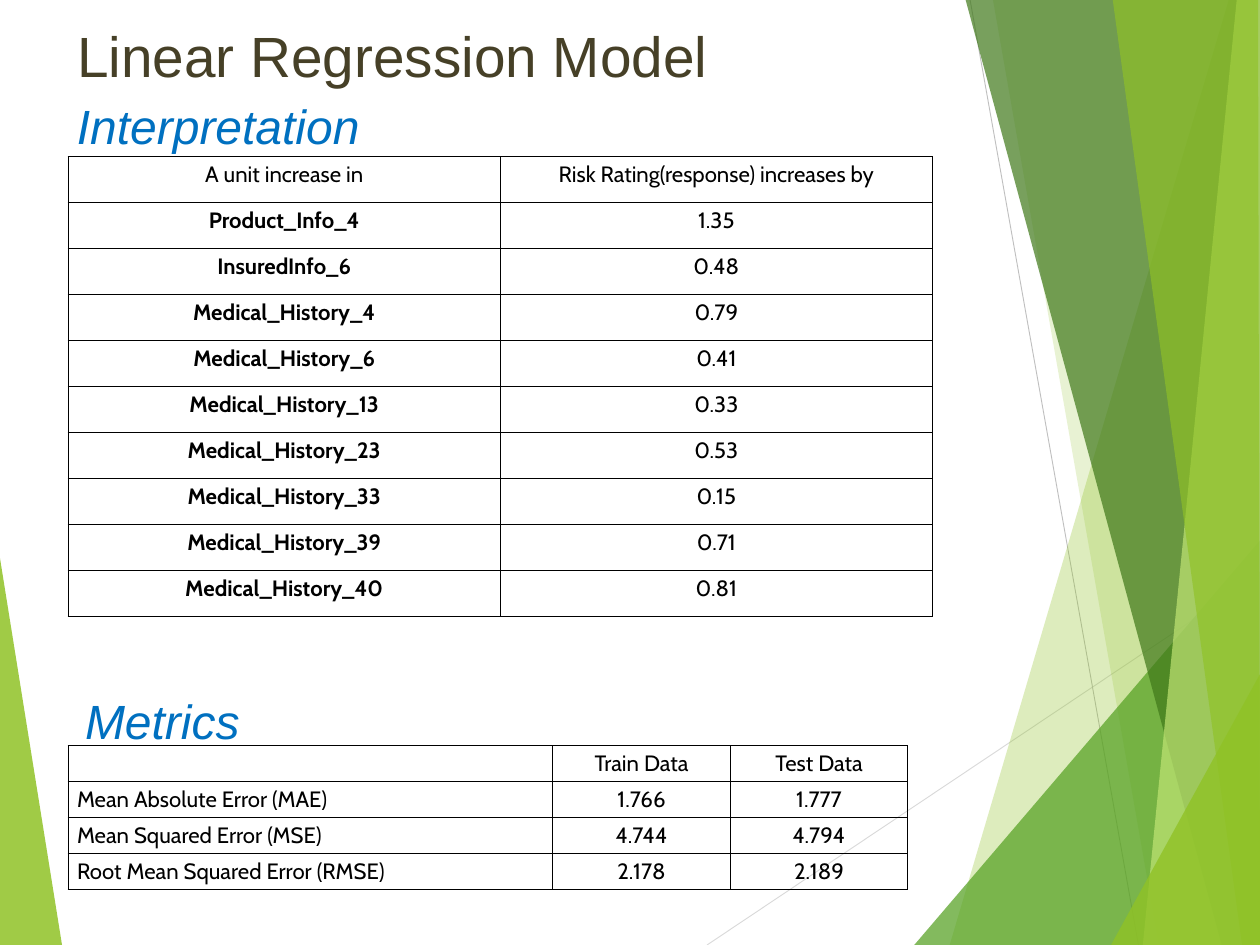
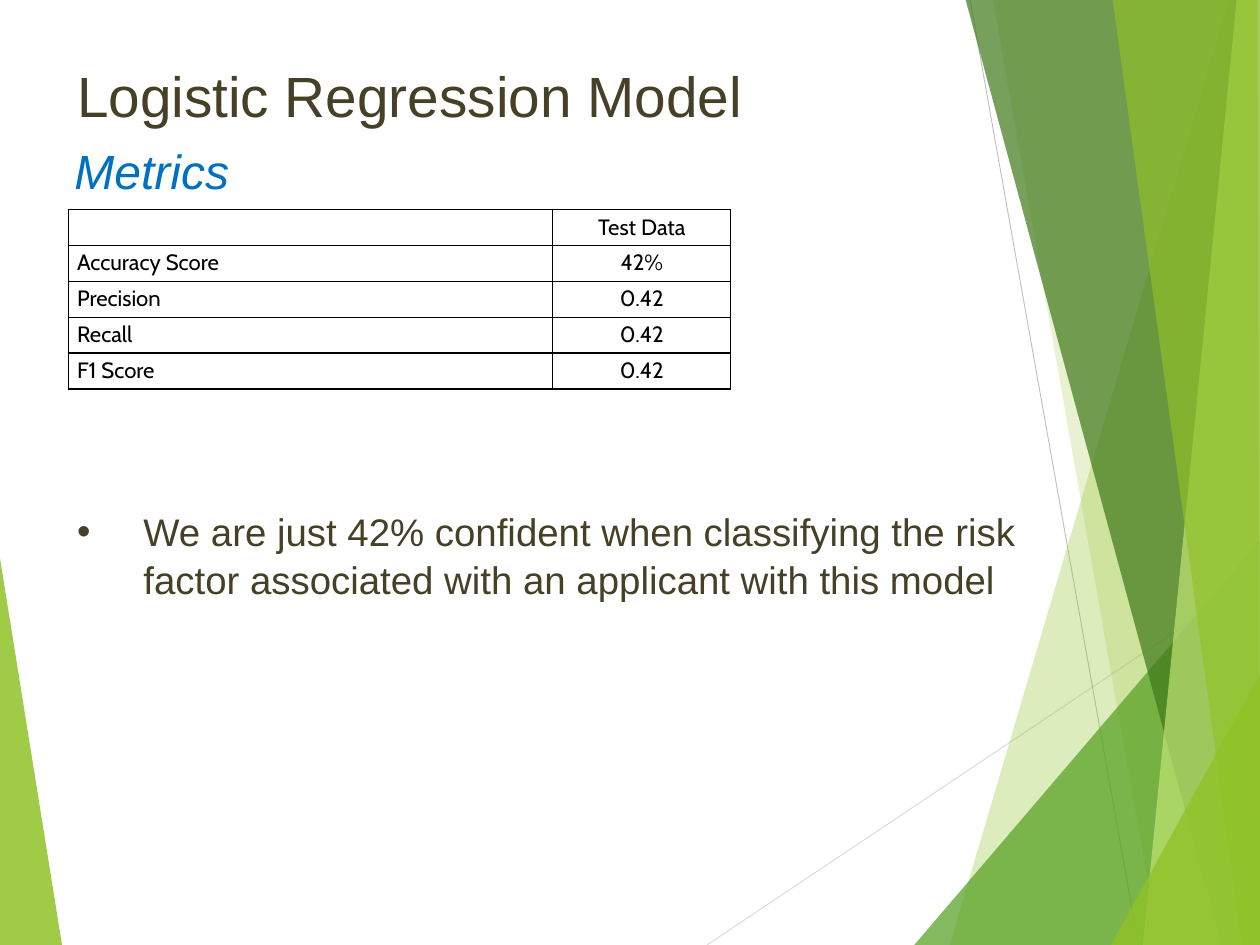
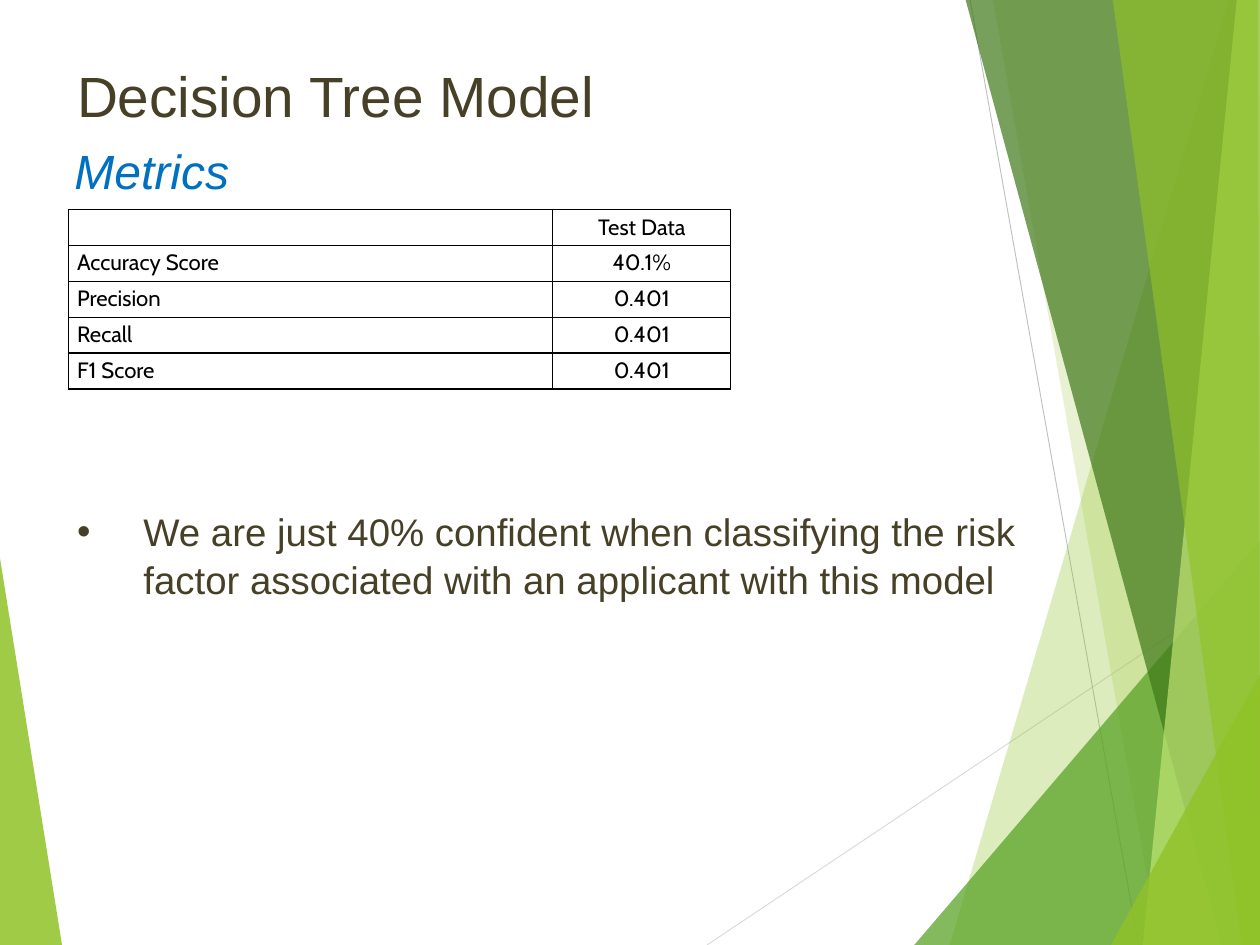
from dataclasses import dataclass

from lxml import etree
from pptx import Presentation
from pptx.dml.color import RGBColor
from pptx.enum.shapes import MSO_CONNECTOR
from pptx.enum.text import MSO_ANCHOR, MSO_AUTO_SIZE, PP_ALIGN
from pptx.oxml.ns import qn
from pptx.util import Pt

LEFT, CENTER = PP_ALIGN.LEFT, PP_ALIGN.CENTER
TOP, MIDDLE = MSO_ANCHOR.TOP, MSO_ANCHOR.MIDDLE
NO_FIT = MSO_AUTO_SIZE.NONE
STRAIGHT = MSO_CONNECTOR.STRAIGHT
W, H = 1024, 768
TITLE_ONLY, TITLE_AND_CONTENT = 5, 1


@dataclass(frozen=True)
class Theme:
    lime: str = "90C226"
    green: str = "54A021"
    forest: str = "3F7819"
    pale: str = "C0E474"
    brown: str = "464027"
    blue: str = "0070C0"
    black: str = "000000"
    heading_font: str = "Arial"
    table_font: str = "Cabin"
    title_size: float = 46.1
    subhead_size: float = 39
    body_size: float = 31.2
    table_size: float = 18


T = Theme()
TITLE = {"name": T.heading_font, "size": Pt(T.title_size), "bold": False, "italic": False}
SUBHEAD = {"name": T.heading_font, "size": Pt(T.subhead_size), "bold": False, "italic": True}
BODY = {"name": T.heading_font, "size": Pt(T.body_size), "bold": False, "italic": False}
CELL = {"name": T.table_font, "size": Pt(T.table_size), "bold": False, "italic": False}
BOLD_CELL = CELL | {"bold": True}

# Background: colour, opacity in percent, corners in points
BANDS = [
    (T.lime, 85, [(-0.7, 449.3), (50.4, H), (-0.7, H)]),
    (T.lime, 30, [(998.6, 0), (771.8, H), (W, H), (W, 0)]),
    (T.lime, 20, [(807, 0), (941.8, H), (W, H), (W, 0)]),
    (T.green, 72, [(743, H), (W, 439.2), (W, H)]),
    (T.forest, 70, [(784.8, 0), (992.9, H), (W, H), (W, 0)]),
    (T.pale, 70, [(1005.1, 0), (928.8, H), (W, H), (W, 0)]),
    (T.lime, 65, [(904.3, 0), (1009.4, H), (W, H), (1022.4, 0)]),
    (T.lime, 80, [(902.9, H), (W, 547.9), (W, H)]),
]
RULES = [("D9D9D9", (574.6, H, W, 467.3)), ("BFBFBF", (788.4, 0, 925.2, H))]

EFFECTS = [
    ("Product_Info_4", "1.35"),
    ("InsuredInfo_6", "0.48"),
    ("Medical_History_4", "0.79"),
    ("Medical_History_6", "0.41"),
    ("Medical_History_13", "0.33"),
    ("Medical_History_23", "0.53"),
    ("Medical_History_33", "0.15"),
    ("Medical_History_39", "0.71"),
    ("Medical_History_40", "0.81"),
]
ERRORS = [
    ("", "Train Data", "Test Data"),
    ("Mean Absolute Error (MAE)", "1.766", "1.777"),
    ("Mean Squared Error (MSE)", "4.744", "4.794"),
    ("Root Mean Squared Error (RMSE)", "2.178", "2.189"),
]
CLASSIFIERS = [
    ("Logistic Regression Model", "42%", "0.42", "42%"),
    ("Decision Tree Model", "40.1%", "0.401", "40%"),
]
TABLE_LEFT = 55.4


def write(p, text, fmt, color, align=LEFT):
    p.alignment = align
    r = p.add_run()
    r.text = text
    for name, value in fmt.items():
        setattr(r.font, name, value)
    r.font.color.rgb = RGBColor.from_string(color)


def add_grid(s, top, widths, row_height, rows, centred_labels=False):
    """Add an unfilled table with black rules; centred labels are bold below the header."""
    frame = s.shapes.add_table(len(rows), len(widths), Pt(TABLE_LEFT), Pt(top),
                               Pt(sum(widths)), Pt(row_height * len(rows)))
    table = frame.table
    table.first_row = table.horz_banding = False
    for column, width in zip(table.columns, widths):
        column.width = Pt(width)
    for i, values in enumerate(rows):
        table.rows[i].height = Pt(row_height)
        for j, value in enumerate(values):
            cell = table.cell(i, j)
            cell.fill.background()
            is_label = j == 0
            fmt = BOLD_CELL if centred_labels and is_label and i else CELL
            align = LEFT if is_label and not centred_labels else CENTER
            if value:
                write(cell.text_frame.paragraphs[0], value, fmt, T.black, align)
            tc_pr = cell._tc.get_or_add_tcPr()
            for k, side in enumerate(("lnL", "lnR", "lnT", "lnB")):
                ln = etree.Element(qn(f"a:{side}"), w=str(Pt(1)))
                fill = etree.SubElement(ln, qn("a:solidFill"))
                etree.SubElement(fill, qn("a:srgbClr"), val=T.black)
                tc_pr.insert(k, ln)


prs = Presentation()
prs.slide_width, prs.slide_height = Pt(W), Pt(H)

slides = [{
    "layout": TITLE_ONLY,
    "title": ("Linear Regression Model", 12),
    "subheads": [("Interpretation", 55.4, 69.3), ("Metrics", 62, 552.4)],
    "grids": [
        (606.2, (394, 144, 144.5), 29.25, ERRORS),
        (127.5, (351.2, 351.2), 37.4,
         [("A unit increase in", "Risk Rating(response) increases by")] + EFFECTS, True),
    ],
}]
for name, accuracy, score, confidence in CLASSIFIERS:
    scores = [(label, score) for label in ("Precision", "Recall", "F1 Score")]
    slides.append({
        "layout": TITLE_AND_CONTENT,
        "title": (name, 44.5),
        "subheads": [("Metrics", 53.4, 106)],
        "grids": [(170, (394, 144.5), 29.25,
                   [("", "Test Data"), ("Accuracy Score", accuracy)] + scores)],
        "body": f"We are just {confidence} confident when classifying the risk factor "
                "associated with an applicant with this model",
    })

for content in slides:
    s = prs.slides.add_slide(prs.slide_layouts[content["layout"]])

    text, top = content["title"]
    title = s.shapes.title
    title.left, title.top, title.width, title.height = Pt(55.4), Pt(top), Pt(594), Pt(65.5)
    tf = title.text_frame
    tf.auto_size, tf.vertical_anchor = NO_FIT, MIDDLE
    write(tf.paragraphs[0], text, TITLE, T.brown)

    for text, left, top in content["subheads"]:
        tf = s.shapes.add_textbox(Pt(left), Pt(top), Pt(594), Pt(65.5)).text_frame
        tf.word_wrap, tf.vertical_anchor = True, MIDDLE
        write(tf.paragraphs[0], text, SUBHEAD, T.blue)

    for grid in content["grids"]:
        add_grid(s, *grid)

    if "body" in content:
        body = s.placeholders[1]
        body.left, body.top, body.width, body.height = Pt(55.4), Pt(408.2), Pt(822.2), Pt(329.8)
        tf = body.text_frame
        tf.auto_size, tf.vertical_anchor = NO_FIT, TOP
        p = tf.paragraphs[0]
        p.space_before, p.line_spacing = Pt(2), 1.04
        write(p, content["body"], BODY, T.brown)
        p_pr = p._p.get_or_add_pPr()
        p_pr.set("marL", str(Pt(54)))
        p_pr.set("indent", str(-Pt(54)))

# Shapes can only be drawn on a slide, so the background is drawn there and moved to the master
s = prs.slides[0]
background = []
for color, ends in RULES:
    rule = s.shapes.add_connector(STRAIGHT, *(Pt(v) for v in ends))
    rule.line.color.rgb = RGBColor.from_string(color)
    rule.line.width = Pt(0.75)
    etree.SubElement(rule.element.spPr, qn("a:effectLst"))
    background.append(rule)
for color, opacity, corners in BANDS:
    start, *others = [(Pt(x), Pt(y)) for x, y in corners]
    builder = s.shapes.build_freeform(*start)
    builder.add_line_segments(others, close=True)
    band = builder.convert_to_shape()
    band.shadow.inherit = False
    band.line.fill.background()
    band.fill.solid()
    band.fill.fore_color.rgb = RGBColor.from_string(color)
    rgb = band.element.spPr.find(f"{qn('a:solidFill')}/{qn('a:srgbClr')}")
    etree.SubElement(rgb, qn("a:alpha"), val=str(opacity * 1000))
    background.append(band)
for i, shape in enumerate(background):
    shape.element.xpath(".//p:cNvPr")[0].set("id", str(101 + i))
    prs.slide_master.shapes.element.insert(2 + i, shape.element)

prs.save("out.pptx")
